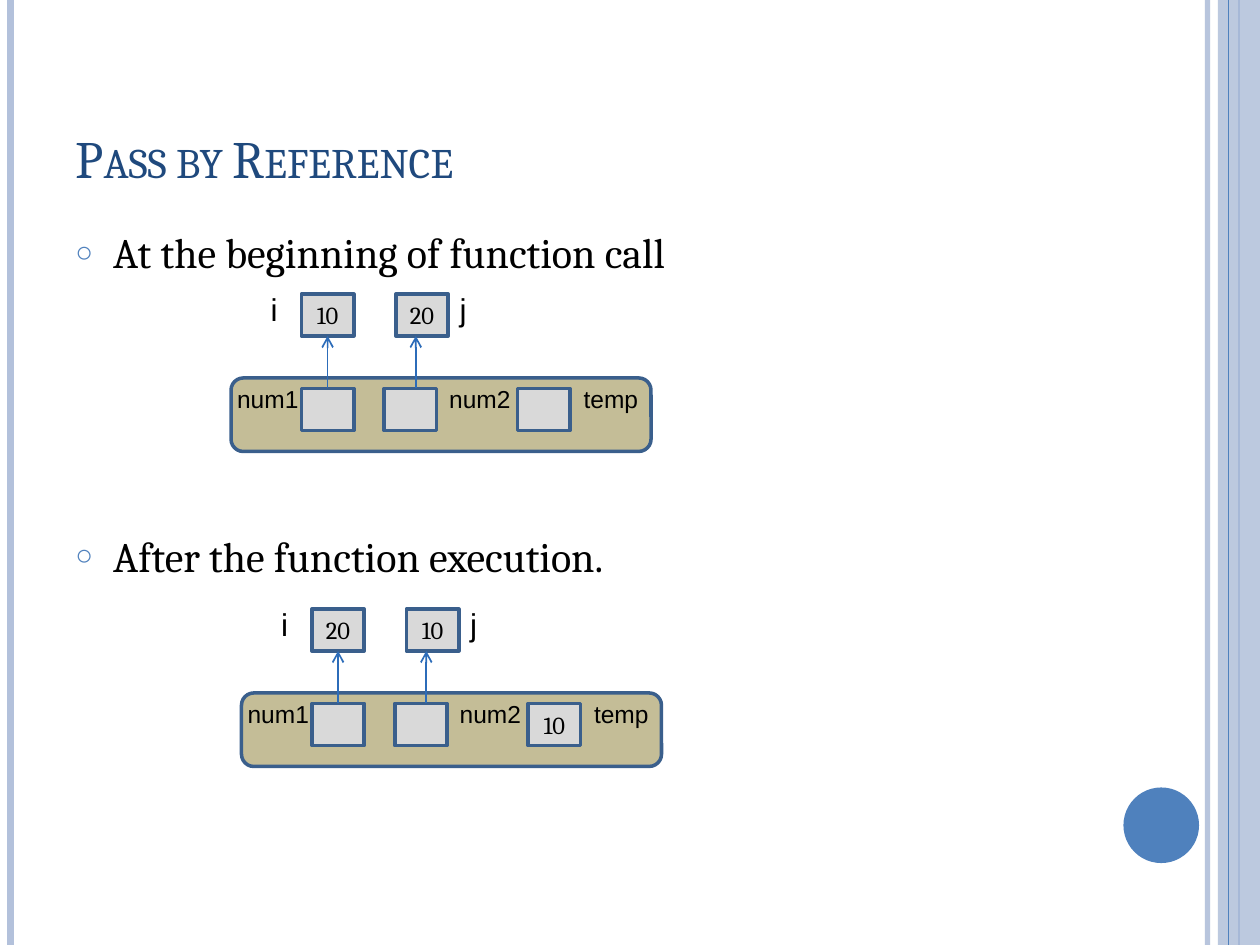
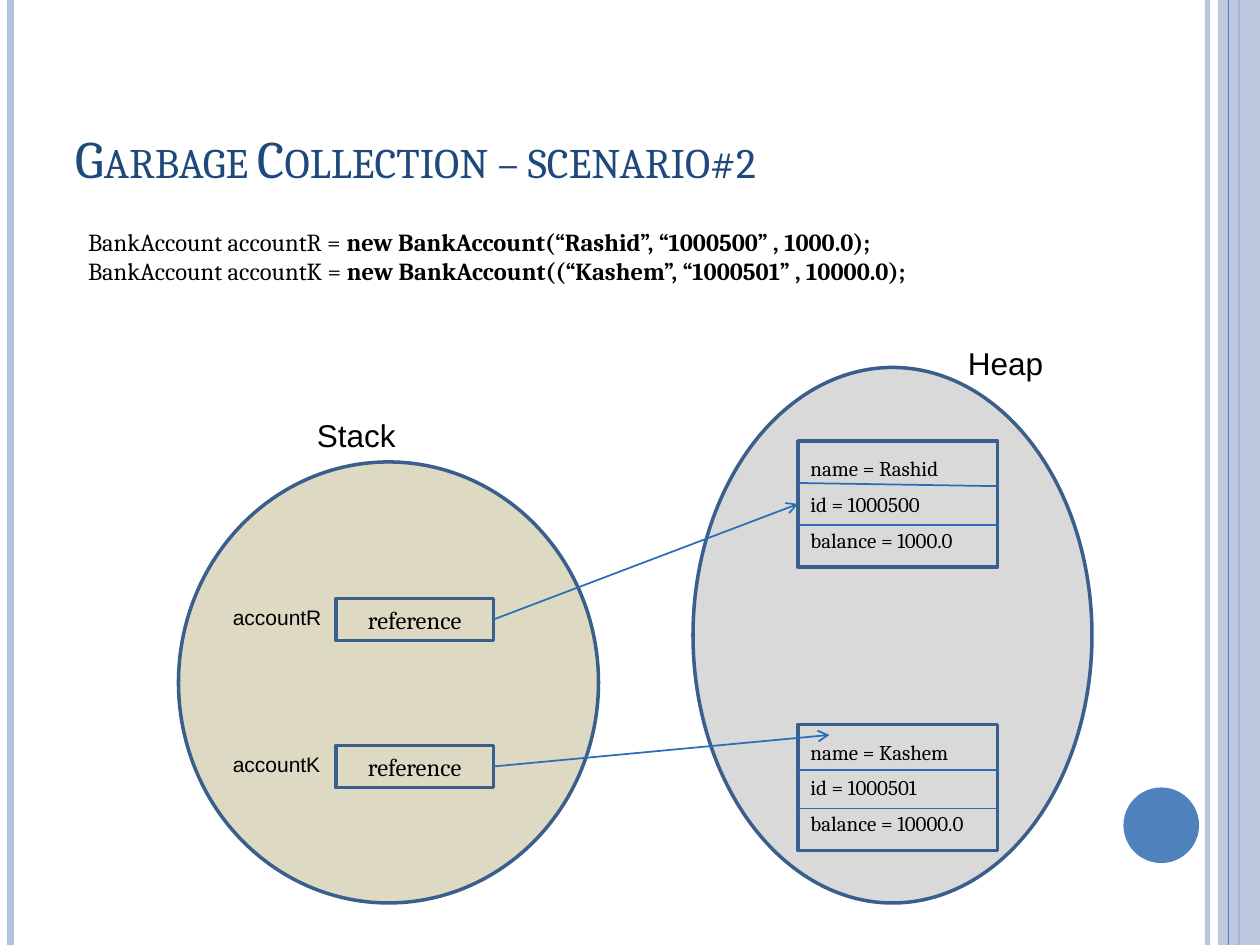
"""Build two slides on references and garbage collection."""
from lxml.etree import SubElement
from pptx import Presentation
from pptx.dml.color import RGBColor as RGB
from pptx.enum.shapes import MSO_CONNECTOR as Link, MSO_SHAPE as Kind
from pptx.enum.text import MSO_ANCHOR as Anchor, PP_ALIGN as Align
from pptx.oxml.ns import qn
from pptx.util import Emu, Pt

SCALE = 7620
BLACK = RGB(0x00, 0x00, 0x00)
NAVY = RGB(0x1F, 0x49, 0x7D)
BLUE = RGB(0x4F, 0x81, 0xBD)
PALE = RGB(0xB3, 0xC1, 0xDB)
EDGE = RGB(0x3A, 0x5F, 0x8C)
ARROW = RGB(0x2C, 0x6C, 0xB9)
GREY = RGB(0xD9, 0xD9, 0xD9)
TAN = RGB(0xC4, 0xBD, 0x97)
SAND = RGB(0xDD, 0xD9, 0xC3)
SERIF, SANS = "Cambria", "Arial"


def px(num):
    return Emu(num * SCALE)


def fade(item, share):
    for tint in item._element.spPr.iter(qn("a:srgbClr")):
        SubElement(tint, qn("a:alpha"), val=str(share * 1000))


def dot(para):
    props = para._p.get_or_add_pPr()
    tint = SubElement(props, qn("a:buClr"))
    SubElement(tint, qn("a:srgbClr"), val=str(BLUE))
    SubElement(props, qn("a:buSzPct"), val="70000")
    SubElement(props, qn("a:buFont"), typeface=SANS)
    SubElement(props, qn("a:buChar"), char="○")


def write(frame, lines, size=14, font=SERIF, color=BLACK, align=Align.LEFT,
          anchor=Anchor.TOP, gap=0, wrap=True, indent=None, bullet=False,
          caps=False):
    frame.word_wrap = wrap
    frame.vertical_anchor = anchor
    for num, line in enumerate(lines):
        para = frame.add_paragraph() if num else frame.paragraphs[0]
        para.alignment = align
        if indent:
            left, first = indent
            props = para._p.get_or_add_pPr()
            props.set("marL", str(px(left)))
            props.set("indent", str(px(first)))
        if bullet:
            dot(para)
        para.space_before = Pt(gap if num else 0)
        parts = [(line, False)] if isinstance(line, str) else line
        for words, bold in parts:
            run = para.add_run()
            run.text = words
            run.font.size = Pt(size)
            run.font.name = font
            run.font.bold = bold
            run.font.color.rgb = color
            if caps:
                run._r.get_or_add_rPr().set("cap", "small")


class Deck:
    """Hold the shared style and the current slide."""

    def __init__(self):
        self.show = Presentation()
        self.show.slide_width, self.show.slide_height = px(1200), px(900)
        self.slide = None

    def page(self, title):
        self.slide = self.show.slides.add_slide(self.show.slide_layouts[5])
        fade(self.line(1150, 0, 1150, 900, PALE, 3), 93)
        self.line(10, 0, 10, 900, PALE, 4.5)
        self.line(1180, 0, 1180, 900, BLUE, 1.5)
        fade(self.shape(Kind.RECTANGLE, 1160, 0, 40, 900, PALE, None), 87)
        self.line(1170, 0, 1170, 900, BLUE, 0.75)
        self.shape(Kind.OVAL, 1070, 750, 72, 72, BLUE, None)
        head = self.slide.shapes.title
        head.left, head.top = px(60), px(36)
        head.width, head.height = px(980), px(150)
        write(head.text_frame, [title], size=30, color=NAVY,
              anchor=Anchor.BOTTOM, caps=True)

    def line(self, x1, y1, x2, y2, color=ARROW, width=1, arrow=False):
        link = self.slide.shapes.add_connector(
            Link.STRAIGHT, px(x1), px(y1), px(x2), px(y2))
        link.line.color.rgb = color
        link.line.width = Pt(width)
        props = link._element.spPr
        if arrow:
            SubElement(props.find(qn("a:ln")), qn("a:tailEnd"), type="arrow")
        SubElement(props, qn("a:effectLst"))
        return link

    def shape(self, kind, x, y, w, h, fill=None, edge=EDGE):
        item = self.slide.shapes.add_shape(kind, px(x), px(y), px(w), px(h))
        item.shadow.inherit = False
        if fill is None:
            item.fill.background()
        else:
            item.fill.solid()
            item.fill.fore_color.rgb = fill
        if edge is None:
            item.line.fill.background()
        else:
            item.line.color.rgb = edge
            item.line.width = Pt(2)
        return item

    def box(self, x, y, w, h, lines=(), fill=None, **style):
        item = self.shape(Kind.RECTANGLE, x, y, w, h, fill)
        write(item.text_frame, lines, anchor=Anchor.MIDDLE, **style)

    def text(self, x, y, w, h, lines, **style):
        item = self.slide.shapes.add_textbox(px(x), px(y), px(w), px(h))
        write(item.text_frame, lines, **style)

    def label(self, x, y, w, h, words, size, wrap=True):
        self.text(x, y, w, h, [words], size=size, font=SANS, wrap=wrap)

    def cell(self, x, y, words=""):
        self.box(x, y, 50, 40, [words] if words else [], GREY,
                 align=Align.CENTER)

    def call(self, x, y, first, second, temp=""):
        self.cell(x + 67, y + 10, first)
        self.cell(x + 157, y + 10, second)
        self.label(x + 26, y, 31, 48, "i", 18, False)
        self.label(x + 206, y, 31, 48, "j", 18, False)
        self.shape(Kind.ROUNDED_RECTANGLE, x, y + 90, 400, 70, TAN)
        for dx, words in (67, ""), (146, ""), (273, temp):
            self.cell(x + dx, y + 100, words)
        for dx, w, words in (-6, 83, "num1"), (196, 83, "num2"), (324, 77, "temp"):
            self.label(x + dx, y + 90, w, 41, words, 14, False)
        for dx in 92, 176:
            self.line(x + dx, y + 100, x + dx, y + 50, arrow=True)

    def record(self, y, name, code, cash, cuts):
        rows = [f"name = {name}", f"id = {code}", f"balance = {cash}"]
        self.box(760, y, 190, 120, rows, size=12, gap=6)
        for start, end in cuts:
            self.line(760, y + start, 950, y + end)

    def handle(self, y, name, x2, y2):
        self.box(320, y, 150, 40, ["reference"], align=Align.CENTER)
        self.label(210, y, 115, 36, name, 12)
        self.line(470, y + 20, x2, y2, arrow=True)


def main():
    deck = Deck()
    deck.page("Pass by Reference")
    deck.text(60, 210, 980, 640,
              ["At the beginning of function call", "After the function execution."],
              size=24, gap=144.5, indent=(36, -36), bullet=True)
    deck.call(220, 270, "10", "20")
    deck.call(230, 570, "20", "10", "10")

    deck.page("Garbage Collection – scenario#2")
    deck.text(60, 210, 980, 640, [
        [("BankAccount accountR = ", False),
         ("new BankAccount(“Rashid”, “1000500” , 1000.0);", True)],
        [("BankAccount accountK = ", False),
         ("new BankAccount((“Kashem”, “1000501” , 10000.0);", True)],
    ], indent=(36, -24))
    deck.shape(Kind.OVAL, 170, 440, 400, 420, SAND)
    deck.shape(Kind.OVAL, 660, 350, 380, 510, GREY)
    deck.record(420, "Rashid", "1000500", "1000.0", [(40, 43), (80, 80)])
    deck.record(690, "Kashem", "1000501", "10000.0", [(43, 43), (80, 80)])
    deck.handle(570, "accountR", 760, 480)
    deck.handle(710, "accountK", 790, 700)
    deck.label(910, 322, 120, 48, "Heap", 18)
    deck.label(290, 390, 120, 48, "Stack", 18)
    deck.show.save("out.pptx")


if __name__ == "__main__":
    main()
